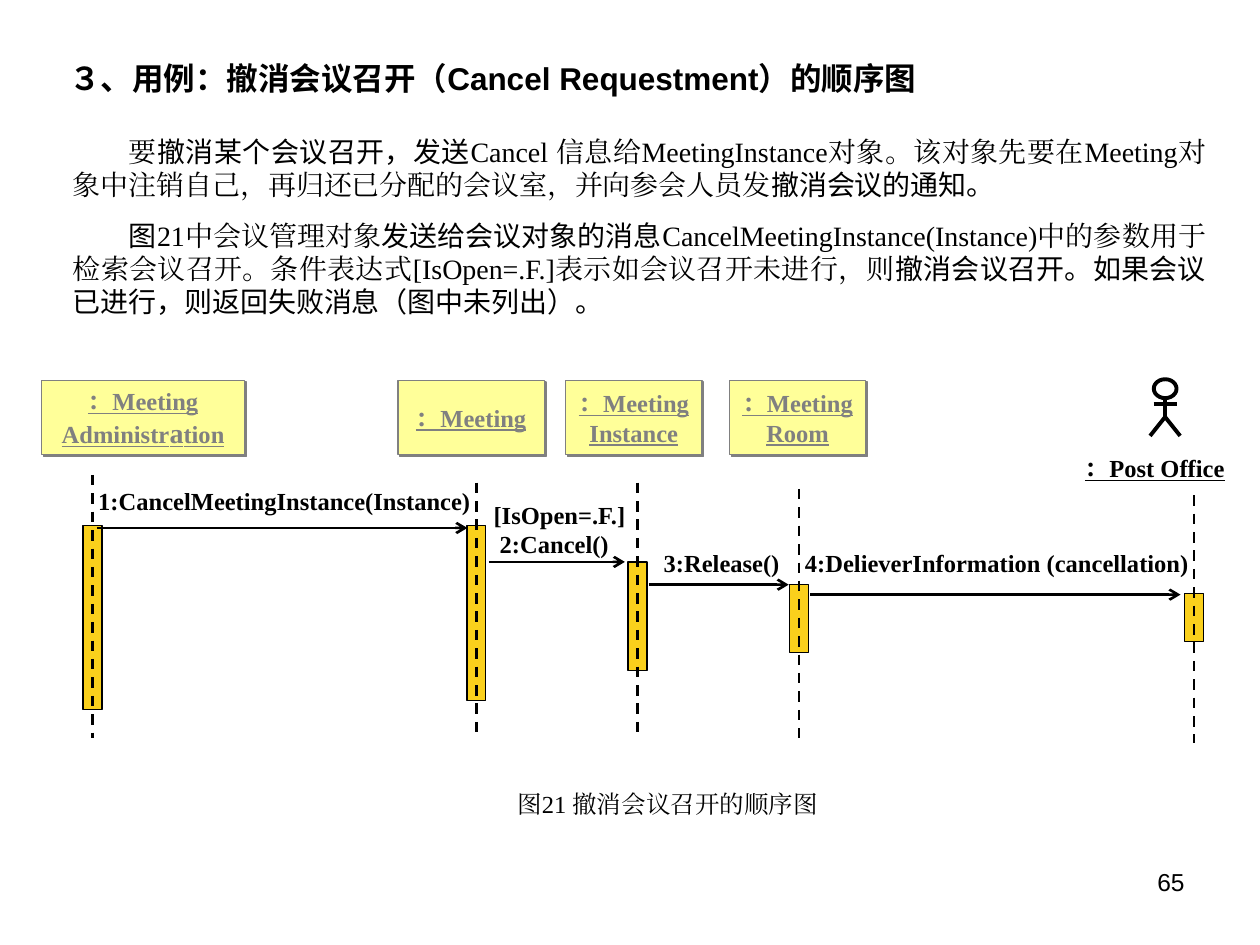
from lxml import etree
from pptx import Presentation
from pptx.dml.color import RGBColor
from pptx.enum.dml import MSO_LINE
from pptx.enum.shapes import MSO_CONNECTOR, MSO_SHAPE
from pptx.enum.text import MSO_ANCHOR, MSO_AUTO_SIZE, PP_ALIGN
from pptx.oxml.ns import qn
from pptx.util import Pt

LEFT, CENTER, RIGHT, JUSTIFY = PP_ALIGN.LEFT, PP_ALIGN.CENTER, PP_ALIGN.RIGHT, PP_ALIGN.JUSTIFY
MIDDLE = MSO_ANCHOR.MIDDLE
RECTANGLE, OVAL = MSO_SHAPE.RECTANGLE, MSO_SHAPE.OVAL
STRAIGHT, DASH = MSO_CONNECTOR.STRAIGHT, MSO_LINE.DASH
NO_AUTOFIT = MSO_AUTO_SIZE.NONE

COLORS = {"ink": "000000", "gray": "808080", "object": "FFFF99", "activation": "FAD01C"}
SERIF, SANS, CHINESE = "Times New Roman", "Arial", "Noto Sans CJK SC"
BAR_WIDTH = 10.8
LABEL_HEIGHT = 24.5

TITLE = [("３、", CHINESE), ("用例：", SANS), ("撤消会议召开（", CHINESE),
         ("Cancel Requestment）", SANS), ("的顺序图", CHINESE)]
BODY = [
    [("要", SERIF), ("撤消某个会议召开，发送", CHINESE),
     ("Cancel 信息给MeetingInstance对象。该对象先要在Meeting对象中注销自己，"
      "再归还已分配的会议室，并向参会人员发", SERIF),
     ("撤消会议的通知。", CHINESE)],
    [("图", CHINESE), ("21中会议管理对象", SERIF), ("发送给会议对象的消息", CHINESE),
     ("CancelMeetingInstance(Instance)中的参数用于检索会议召开。"
      "条件表达式[IsOpen=.F.]表示如会议召开未进行，则", SERIF),
     ("撤消会议召开。如果会议已进行，则返回失败消息（图中未列出）。", CHINESE)],
]

# left, width, lines of (text, size) runs
OBJECTS = [
    (23.8, 115.9, [[("：Meeting", 14)], [("Administr", 14), ("a", 16), ("tion", 14)]]),
    (227.5, 83.5, [[("：Meeting", 14)]]),
    (323.3, 77.8, [[("：Meeting", 14)], [("Instance", 14)]]),
    (416.9, 77.8, [[("：Meeting", 14)], [("Room", 14)]]),
]
# center, line top, line bottom, bar top, bar height
LIFELINES = [
    (52.9, 271.4, 421.9, 300.2, 105.1),
    (272.2, 275.8, 420.5, 300.2, 100.1),
    (364.3, 275.8, 421.9, 321.1, 61.9),
    (456.5, 279.4, 421.9, 334.1, 38.9),
    (682.2, 283, 424.8, 339.1, 27.4),
]
# start x, end x, y, label lines, label left, label top, label width
MESSAGES = [
    (55.4, 267.1, 301.7, ["1:CancelMeetingInstance(Instance)"], 49, 274.3, 236.9),
    (279.4, 357.1, 321.1, ["[IsOpen=.F.]", "2:Cancel()"], 275, 282.2, 103.7),
    (370.8, 450.7, 334.1, ["3:Release()"], 372.2, 309.6, 103.7),
    (463, 674.6, 339.8, ["4:DelieverInformation (cancellation)"], 452.9, 309.6, 236.9),
]


def color(name):
    return RGBColor.from_string(COLORS[name])


class SequenceSlide:
    def __init__(self, slide):
        self.slide = slide

    def add_run(self, paragraph, text, font=SERIF, size=14, ink="ink", bold=False, underline=False):
        run = paragraph.add_run()
        run.text = text
        run.font.name, run.font.size = font, Pt(size)
        run.font.bold, run.font.underline = bold, underline
        run.font.color.rgb = color(ink)
        east_asian = etree.SubElement(run.font._element, qn("a:ea"))
        east_asian.set("typeface", font)

    def add_paragraph(self, frame, index, alignment):
        paragraph = frame.paragraphs[0] if index == 0 else frame.add_paragraph()
        paragraph.alignment = alignment
        return paragraph

    def title(self, runs, left, top, width, height):
        shape = self.slide.shapes.title
        shape.left, shape.top, shape.width, shape.height = map(Pt, (left, top, width, height))
        frame = shape.text_frame
        frame.auto_size, frame.vertical_anchor = NO_AUTOFIT, MIDDLE
        paragraph = self.add_paragraph(frame, 0, LEFT)
        for text, font in runs:
            self.add_run(paragraph, text, font, 18, bold=True)

    def text_frame(self, left, top, width, height):
        box = self.slide.shapes.add_textbox(*map(Pt, (left, top, width, height)))
        box.text_frame.word_wrap = True
        return box.text_frame

    def body(self, paragraphs, left, top, width, height):
        frame = self.text_frame(left, top, width, height)
        for index, runs in enumerate(paragraphs):
            paragraph = self.add_paragraph(frame, index, JUSTIFY)
            paragraph.line_spacing = Pt(19)
            paragraph.space_before = Pt(10 if index else 0)
            paragraph._p.get_or_add_pPr().set("indent", str(Pt(32)))
            for text, font in runs:
                self.add_run(paragraph, text, font, 16)

    def label(self, lines, left, top, width, height=LABEL_HEIGHT, alignment=LEFT, **style):
        frame = self.text_frame(left, top, width, height)
        for index, line in enumerate(lines):
            paragraph = self.add_paragraph(frame, index, alignment)
            if index:
                paragraph._p.get_or_add_pPr().set("marL", str(Pt(3.5)))
            self.add_run(paragraph, line, **style)

    def shape(self, kind, left, top, width, height, fill=None, line="ink", weight=0.75):
        shape = self.slide.shapes.add_shape(kind, *map(Pt, (left, top, width, height)))
        shape.shadow.inherit = False
        if fill:
            shape.fill.solid()
            shape.fill.fore_color.rgb = color(fill)
        else:
            shape.fill.background()
        shape.line.color.rgb, shape.line.width = color(line), Pt(weight)
        return shape

    def object_box(self, left, width, lines):
        box = self.shape(RECTANGLE, left, 217.4, width, 42.5, "object", "gray")
        effects = box._element.spPr.find(qn("a:effectLst"))
        shadow = etree.SubElement(effects, qn("a:outerShdw"), blurRad="0",
                                  dist=str(Pt(1.4)), dir="2700000", algn="ctr", rotWithShape="0")
        etree.SubElement(shadow, qn("a:srgbClr"), val=COLORS["gray"])
        frame = box.text_frame
        frame.word_wrap, frame.vertical_anchor = False, MIDDLE
        for index, runs in enumerate(lines):
            paragraph = self.add_paragraph(frame, index, CENTER)
            for text, size in runs:
                self.add_run(paragraph, text, size=size, ink="gray", bold=True, underline=True)

    def line(self, start, end, weight=1.5, dashed=False, arrow=False):
        connector = self.slide.shapes.add_connector(STRAIGHT, *map(Pt, (*start, *end)))
        connector.line.color.rgb, connector.line.width = color("ink"), Pt(weight)
        if dashed:
            connector.line.dash_style = DASH
        if arrow:
            etree.SubElement(connector.line._get_or_add_ln(), qn("a:tailEnd"), type="arrow")
        etree.SubElement(connector._element.spPr, qn("a:effectLst"))

    def actor(self, center, top):
        neck, arms, hips, feet = top + 10.8, top + 14.4, top + 21.6, top + 32.4
        self.shape(OVAL, center - 6.5, top, 13, 10.8, weight=2.25)
        limbs = [((center, neck), (center, hips)),
                 ((center - 6.5, arms), (center + 6.5, arms)),
                 ((center, hips), (center - 8.6, feet)),
                 ((center, hips), (center + 8.6, feet))]
        for start, end in limbs:
            self.line(start, end, 2.25)

    def lifeline(self, center, top, bottom, bar_top, bar_height):
        self.shape(RECTANGLE, center - BAR_WIDTH / 2, bar_top, BAR_WIDTH, bar_height, "activation")
        self.line((center, top), (center, bottom), dashed=True)

    def message(self, start, end, y, lines, left, top, width):
        self.line((start, y), (end, y), arrow=True)
        height = LABEL_HEIGHT + 16.5 * (len(lines) - 1)
        self.label(lines, left, top, width, height, bold=True)


def main():
    presentation = Presentation()
    presentation.slide_width, presentation.slide_height = Pt(720), Pt(540)
    title_only = presentation.slide_layouts[5]
    page = SequenceSlide(presentation.slides.add_slide(title_only))
    page.title(TITLE, 32.4, 24.5, 629.3, 39.6)
    page.body(BODY, 34.6, 73.4, 661.7, 113)
    for item in OBJECTS:
        page.object_box(*item)
    page.actor(665.8, 216.7)
    page.label(["：Post Office"], 607, 255.6, 105.8, alignment=CENTER, bold=True, underline=True)
    for item in LIFELINES:
        page.lifeline(*item)
    for item in MESSAGES:
        page.message(*item)
    page.label(["图21 撤消会议召开的顺序图"], 231.8, 447.1, 299.5, alignment=CENTER)
    page.label(["65"], 516.2, 491.8, 167.8, 37.4, alignment=RIGHT, font=SANS)
    presentation.save("out.pptx")


if __name__ == "__main__":
    main()
